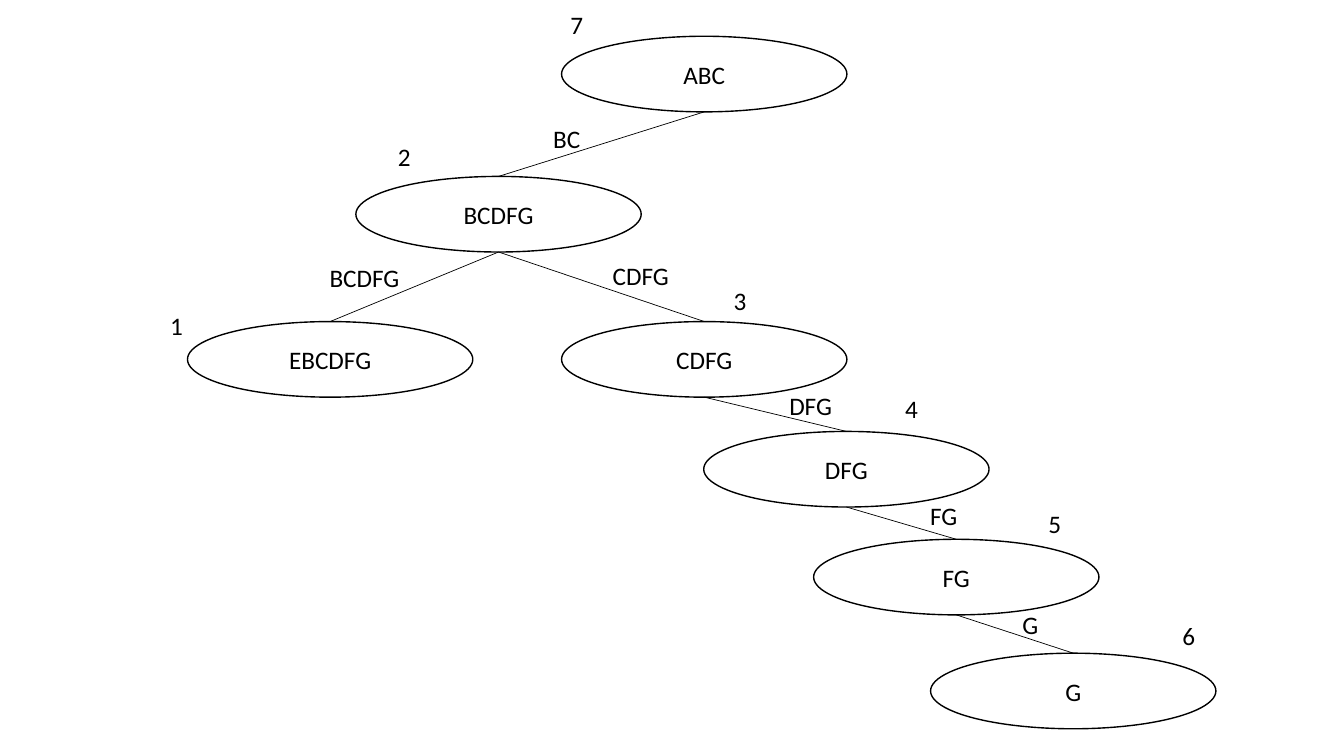
from dataclasses import dataclass

from lxml.etree import SubElement
from pptx import Presentation
from pptx.dml.color import RGBColor
from pptx.enum.shapes import MSO_CONNECTOR, MSO_SHAPE
from pptx.enum.text import MSO_ANCHOR, MSO_AUTO_SIZE, PP_ALIGN
from pptx.oxml.ns import qn
from pptx.shapes.base import BaseShape
from pptx.slide import Slide
from pptx.util import Inches, Pt


@dataclass(frozen=True)
class Theme:
    ink: RGBColor = RGBColor(0, 0, 0)
    paper: RGBColor = RGBColor(255, 255, 255)
    font: str = "Calibri"
    text_size: float = 18
    outline: float = 1
    edge_line: float = 0.5


@dataclass(frozen=True)
class Node:
    """An ellipse of the tree, with the number standing beside it."""
    name: str
    left: float
    top: float
    number: str
    number_left: float
    number_top: float

    @property
    def center(self) -> float:
        return self.left + NODE_WIDTH / 2

    @property
    def bottom(self) -> float:
        return self.top + NODE_HEIGHT


@dataclass(frozen=True)
class Edge:
    """A line from parent to child, with its separator label."""
    parent: str
    child: str
    label: str
    label_left: float
    label_top: float
    label_width: float


THEME = Theme()
NODE_WIDTH, NODE_HEIGHT = 2.83, 0.75
NUMBER_WIDTH, LABEL_HEIGHT = 0.68, 0.4

NODES = [
    Node("ABC", 5.57, 0.36, "7", 5.38, 0.04),
    Node("EBCDFG", 1.86, 3.19, "1", 1.41, 3.03),
    Node("BCDFG", 3.53, 1.75, "2", 3.67, 1.35),
    Node("CDFG", 5.57, 3.19, "3", 7.0, 2.78),
    Node("DFG", 6.98, 4.28, "4", 8.7, 3.85),
    Node("FG", 8.07, 5.35, "5", 10.12, 4.99),
    Node("G", 9.23, 6.48, "6", 11.45, 6.1),
]
EDGES = [
    Edge("ABC", "BCDFG", "BC", 5.28, 1.17, 0.68),
    Edge("BCDFG", "EBCDFG", "BCDFG", 3.14, 2.55, 0.95),
    Edge("BCDFG", "CDFG", "CDFG", 5.86, 2.53, 0.99),
    Edge("CDFG", "DFG", "DFG", 7.62, 3.82, 0.84),
    Edge("DFG", "FG", "FG", 8.94, 4.91, 0.84),
    Edge("FG", "G", "G", 9.8, 6.0, 0.84),
]


def write_text(shape: BaseShape, text: str, *, anchor: MSO_ANCHOR = MSO_ANCHOR.TOP,
               size: float = THEME.text_size, color: RGBColor = THEME.ink) -> None:
    frame = shape.text_frame
    frame.word_wrap = True
    frame.vertical_anchor = anchor
    para = frame.paragraphs[0]
    para.alignment = PP_ALIGN.CENTER
    span = para.add_run()
    span.text = text
    span.font.name = THEME.font
    span.font.size = Pt(size)
    span.font.color.rgb = color


def draw_label(slide: Slide, text: str, left: float, top: float, width: float) -> None:
    box = slide.shapes.add_textbox(Inches(left), Inches(top), Inches(width), Inches(LABEL_HEIGHT))
    write_text(box, text)
    box.text_frame.auto_size = MSO_AUTO_SIZE.SHAPE_TO_FIT_TEXT


def draw_node(slide: Slide, node: Node) -> None:
    ellipse = slide.shapes.add_shape(MSO_SHAPE.OVAL, Inches(node.left), Inches(node.top),
                                     Inches(NODE_WIDTH), Inches(NODE_HEIGHT))
    ellipse.shadow.inherit = False
    ellipse.fill.solid()
    ellipse.fill.fore_color.rgb = THEME.paper
    ellipse.line.color.rgb = THEME.ink
    ellipse.line.width = Pt(THEME.outline)
    write_text(ellipse, node.name, anchor=MSO_ANCHOR.MIDDLE)


def draw_edge(slide: Slide, parent: Node, child: Node) -> None:
    """Join the bottom of the parent to the top of the child."""
    line = slide.shapes.add_connector(MSO_CONNECTOR.STRAIGHT,
                                      Inches(parent.center), Inches(parent.bottom),
                                      Inches(child.center), Inches(child.top))
    line.line.color.rgb = THEME.ink
    line.line.width = Pt(THEME.edge_line)
    SubElement(line._element.spPr, qn("a:effectLst"))


def main() -> None:
    deck = Presentation()
    deck.slide_width, deck.slide_height = Inches(13.33), Inches(7.5)
    page = deck.slides.add_slide(deck.slide_layouts[6])
    nodes = {node.name: node for node in NODES}
    for node in NODES:
        draw_node(page, node)
        draw_label(page, node.number, node.number_left, node.number_top, NUMBER_WIDTH)
    for edge in EDGES:
        draw_edge(page, nodes[edge.parent], nodes[edge.child])
        draw_label(page, edge.label, edge.label_left, edge.label_top, edge.label_width)
    deck.save("out.pptx")


if __name__ == "__main__":
    main()
